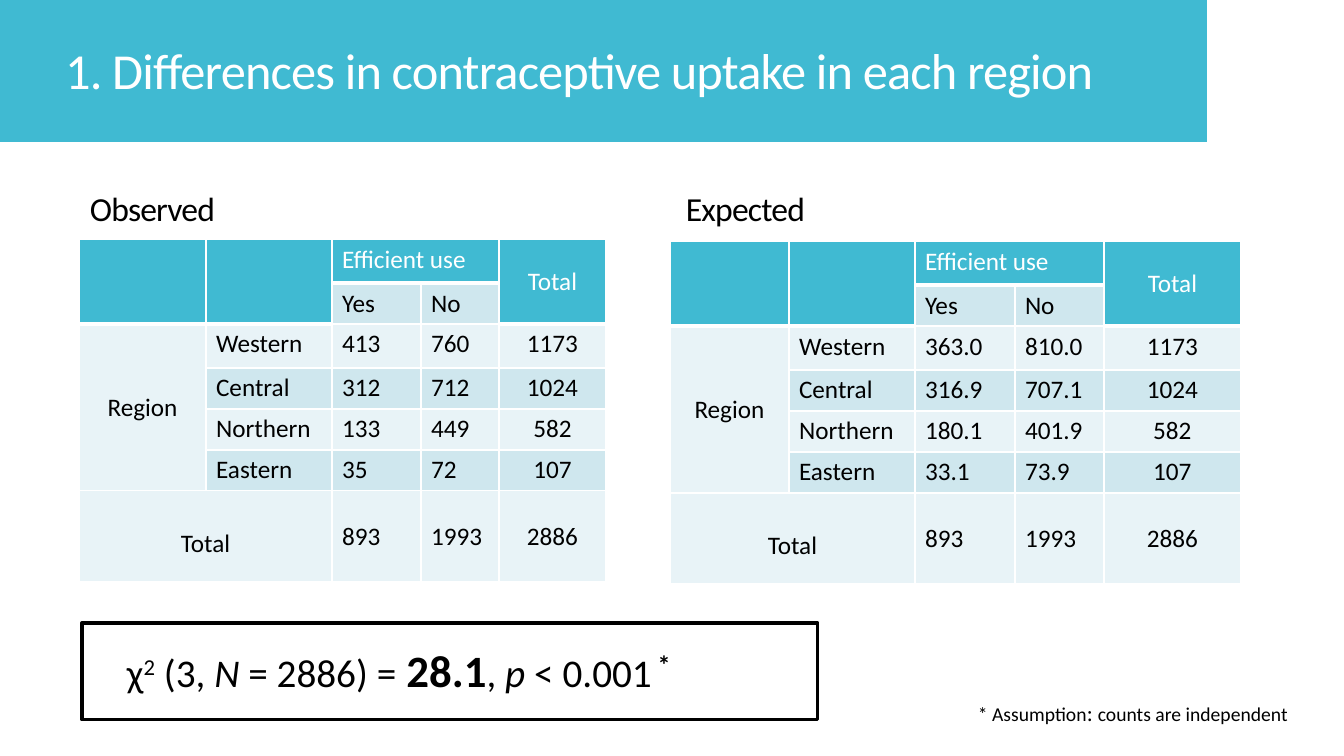
from lxml import etree
from pptx import Presentation
from pptx.dml.color import RGBColor
from pptx.enum.shapes import MSO_SHAPE
from pptx.enum.text import MSO_ANCHOR, MSO_AUTO_SIZE, PP_ALIGN
from pptx.oxml.ns import qn
from pptx.util import Pt

EMU_PER_PIXEL = 914400 / 100.8
FONT = "Calibri"
BLACK = RGBColor(0x00, 0x00, 0x00)
WHITE = RGBColor(0xFF, 0xFF, 0xFF)
TEAL = RGBColor(0x40, 0xBA, 0xD2)
BAND_DARK = RGBColor(0xCF, 0xE7, 0xEE)
BAND_LIGHT = RGBColor(0xE8, 0xF3, 0xF7)
RECTANGLE = MSO_SHAPE.RECTANGLE
TOP, MIDDLE = MSO_ANCHOR.TOP, MSO_ANCHOR.MIDDLE
LEFT, CENTER = PP_ALIGN.LEFT, PP_ALIGN.CENTER
FIXED, GROW = MSO_AUTO_SIZE.NONE, MSO_AUTO_SIZE.SHAPE_TO_FIT_TEXT

ROW_HEIGHTS = (44, 41, 44, 41, 41, 41, 91)
REGIONS = ("Western", "Central", "Northern", "Eastern")
REGION_TOTALS = ("1173", "1024", "582", "107")
MERGES = ((0, 0, 1, 0), (0, 1, 1, 1), (0, 2, 0, 3), (0, 4, 1, 4), (2, 0, 5, 0), (6, 0, 6, 1))
OBSERVED = (("413", "760"), ("312", "712"), ("133", "449"), ("35", "72"))
EXPECTED = (("363.0", "810.0"), ("316.9", "707.1"), ("180.1", "401.9"), ("33.1", "73.9"))


def pixels(*lengths):
    """Turn pixel lengths into EMU."""
    return [round(length * EMU_PER_PIXEL) for length in lengths]


def contingency_rows(counts):
    """Surround the yes and no counts with headings and totals."""
    rows = [["", "", "Efficient use", "", "Total"], ["", "", "Yes", "No", ""]]
    for region, pair, total in zip(REGIONS, counts, REGION_TOTALS):
        rows.append(["", region, *pair, total])
    rows[2][0] = "Region"
    rows.append(["Total", "", "893", "1993", "2886"])
    return rows


def set_borders(cell, bottom_width):
    """Draw white borders around a table cell."""
    properties = cell.fill and cell._tc.get_or_add_tcPr()
    for position, side in enumerate(("lnL", "lnR", "lnT", "lnB")):
        width = bottom_width if side == "lnB" else 1
        line = etree.Element(qn(f"a:{side}"), w=str(Pt(width)))
        fill = etree.SubElement(line, qn("a:solidFill"))
        etree.SubElement(fill, qn("a:srgbClr"), val=str(WHITE))
        properties.insert(position, line)


class SlideBuilder:
    """Holds the text style and the current slide."""

    def __init__(self, page):
        self.page = page

    def style(self, para, size, color=BLACK):
        """Set the font of a whole paragraph."""
        para.font.name, para.font.size = FONT, Pt(size)
        para.font.color.rgb = color
        para.font.bold = False

    def rectangle(self, bounds, fill=None, line=None):
        """Add a rectangle that is filled or outlined."""
        shape = self.page.shapes.add_shape(RECTANGLE, *pixels(*bounds))
        shape.shadow.inherit = False
        if fill is None:
            shape.fill.background()
        else:
            shape.fill.solid()
            shape.fill.fore_color.rgb = fill
        if line is None:
            shape.line.fill.background()
        else:
            shape.line.color.rgb = line
            shape.line.width = Pt(2.25)
        return shape

    def fill_heading(self, box, text, size, color):
        """Write one tightly spaced heading into a box."""
        frame = box.text_frame
        frame.word_wrap, frame.auto_size = True, FIXED
        frame.vertical_anchor = MIDDLE
        para = frame.paragraphs[0]
        para.text, para.alignment, para.line_spacing = text, LEFT, 0.9
        self.style(para, size, color)
        for properties in box.element.iter(qn("a:defRPr")):
            properties.set("spc", "-60")

    def title(self, bounds, text, band):
        """Place the title placeholder in front of its band."""
        box = self.page.shapes.title
        box.left, box.top, box.width, box.height = pixels(*bounds)
        self.fill_heading(box, text, 36, WHITE)
        box.element.addprevious(band.element)

    def caption(self, bounds, text):
        """Add the heading above a table."""
        box = self.page.shapes.add_textbox(*pixels(*bounds))
        self.fill_heading(box, text, 24, BLACK)

    def rich_text(self, bounds, size, spans):
        """Add a line of spans, each with its text and differing font settings."""
        box = self.page.shapes.add_textbox(*pixels(*bounds))
        box.text_frame.word_wrap, box.text_frame.auto_size = True, GROW
        para = box.text_frame.paragraphs[0]
        self.style(para, size)
        for text, settings in spans:
            span = para.add_run()
            span.text = text
            span.font.size = Pt(settings.get("size", size))
            span.font.bold = settings.get("bold", False)
            span.font.italic = settings.get("italic", False)
            if settings.get("raised"):
                list(box.element.iter(qn("a:rPr")))[-1].set("baseline", "30000")

    def table(self, left, top, widths, rows):
        """Add a contingency table with merged headings."""
        bounds = pixels(left, top, sum(widths), sum(ROW_HEIGHTS))
        grid = self.page.shapes.add_table(len(rows), len(widths), *bounds).table
        for column, width in zip(grid.columns, pixels(*widths)):
            column.width = width
        for row, height in zip(grid.rows, pixels(*ROW_HEIGHTS)):
            row.height = height
        for row_index, row in enumerate(rows):
            for column_index, text in enumerate(row):
                self.cell(grid.cell(row_index, column_index), row_index, column_index, text)
        for first_row, first_column, last_row, last_column in MERGES:
            grid.cell(first_row, first_column).merge(grid.cell(last_row, last_column))

    def cell(self, cell, row, column, text):
        """Fill and format one table cell by its place in the grid."""
        header = row == 0
        last = row == len(ROW_HEIGHTS) - 1
        cell.fill.solid()
        if header:
            cell.fill.fore_color.rgb = TEAL
        else:
            cell.fill.fore_color.rgb = BAND_DARK if row % 2 else BAND_LIGHT
        set_borders(cell, 3 if header else 1)
        centred = column in (0, 4)
        middle = last or column == 0 or (header and column == 4)
        cell.vertical_anchor = MIDDLE if middle else TOP
        para = cell.text_frame.paragraphs[0]
        para.text, para.alignment = text, CENTER if centred else LEFT
        if last and column == 0:
            para.line_spacing = 1.5
        self.style(para, 18, WHITE if header else BLACK)


def main():
    """Build and save the slide."""
    deck = Presentation()
    deck.slide_width, deck.slide_height = pixels(1344, 756)
    builder = SlideBuilder(deck.slides.add_slide(deck.slide_layouts[5]))

    band = builder.rectangle((0, 0, 1207, 142), fill=TEAL)
    builder.title((55, 24, 1132, 98), "1. Differences in contraceptive uptake in each region", band)

    builder.table(670, 241, (119, 126, 100, 89, 137), contingency_rows(EXPECTED))
    builder.table(79, 239, (127, 126, 89, 78, 107), contingency_rows(OBSERVED))
    builder.caption((80, 162, 323, 98), "Observed")
    builder.caption((676, 162, 323, 98), "Expected")

    builder.rich_text((117, 638, 735, 65), 28, (
        ("χ", {}),
        ("2", {"raised": True}),
        ("\u00a0(3,\u00a0", {}),
        ("N", {"italic": True}),
        ("\u00a0= 2886) =", {}),
        (" ", {"size": 32}),
        ("28.1", {"size": 32, "bold": True}),
        (",\u00a0", {}),
        ("p\u00a0", {"italic": True}),
        ("< 0.001", {}),
        ("\u00a0*", {"size": 32, "bold": True, "raised": True}),
    ))
    builder.rectangle((82, 623, 736, 97), line=BLACK)
    builder.rich_text((968, 694, 376, 37), 14, (
        ("* Assumption", {}),
        (": ", {"size": 16}),
        ("counts are independent", {}),
    ))
    deck.save("out.pptx")


main()
